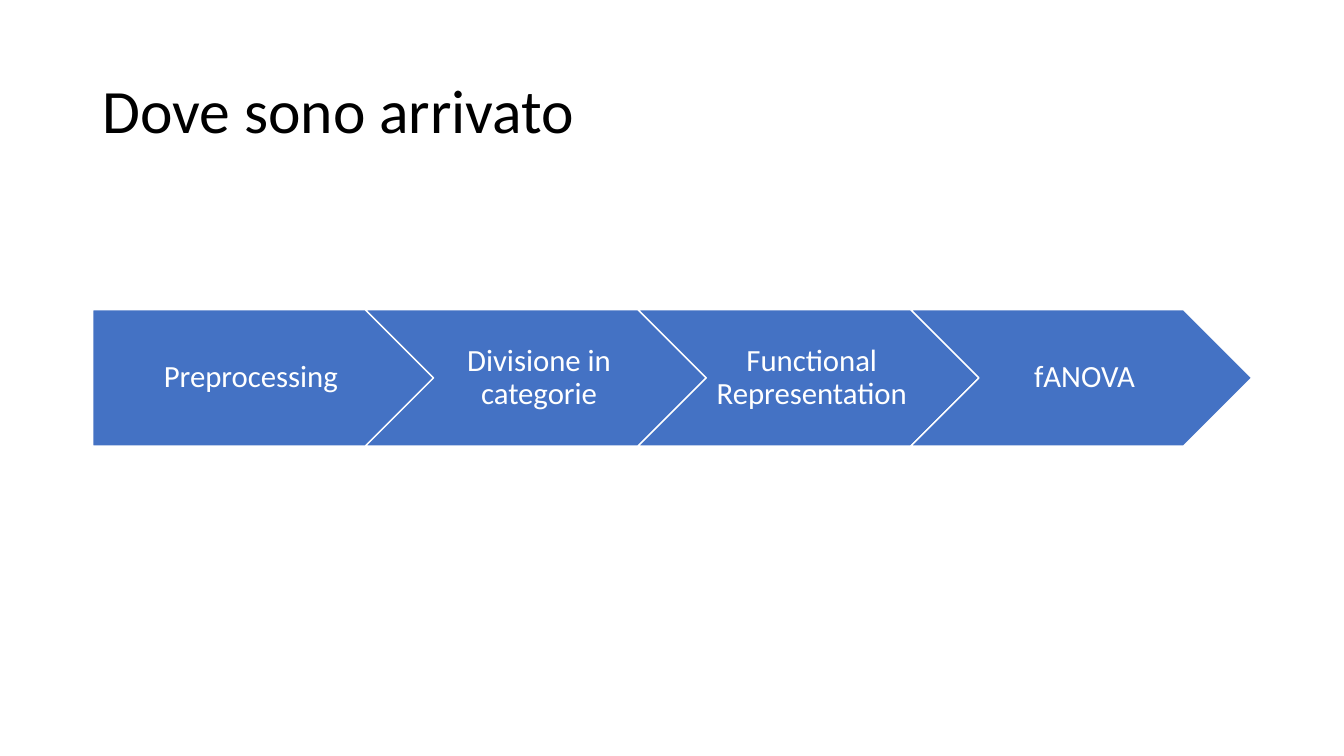
"""Build the slide showing the four analysis steps as a chevron process."""
from pptx import Presentation
from pptx.dml.color import RGBColor
from pptx.enum.shapes import MSO_SHAPE
from pptx.enum.text import MSO_ANCHOR, PP_ALIGN
from pptx.util import Pt

PENTAGON, CHEVRON = MSO_SHAPE.PENTAGON, MSO_SHAPE.CHEVRON
LEFT, CENTER = PP_ALIGN.LEFT, PP_ALIGN.CENTER
MIDDLE = MSO_ANCHOR.MIDDLE

COLORS = {"step": "4472C4", "light": "FFFFFF", "title": "000000"}
FONT = "Calibri"
STEPS = ["Preprocessing", "Divisione in categorie",
         "Functional Representation", "fANOVA"]
STEP_LEFT, STEP_WIDTH = 66.2, 243.5
STEP_HEIGHT = STEP_WIDTH * 0.4
STEP_PITCH = STEP_WIDTH * 0.8


def color(name):
    return RGBColor.from_string(COLORS[name])


def write_text(box, text, size, color_name, align, insets):
    frame = box.text_frame
    left, top, right, bottom = map(Pt, insets)
    frame_format = {"word_wrap": True, "vertical_anchor": MIDDLE,
                    "margin_left": left, "margin_top": top,
                    "margin_right": right, "margin_bottom": bottom}
    for name, value in frame_format.items():
        setattr(frame, name, value)
    para = frame.paragraphs[0]
    para.alignment = align
    para.line_spacing = 0.9
    span = para.add_run()
    span.text = text
    for name, value in {"name": FONT, "size": Pt(size)}.items():
        setattr(span.font, name, value)
    span.font.color.rgb = color(color_name)


def add_title(page, text):
    box = page.shapes.add_textbox(Pt(66), Pt(28.75), Pt(828), Pt(104.4))
    write_text(box, text, 44, "title", LEFT, (7.2, 3.6, 7.2, 3.6))


def add_step(page, index, text, top):
    kind, inset = (CHEVRON, 6.93) if index else (PENTAGON, 9.24)
    step = page.shapes.add_shape(
        kind, Pt(STEP_LEFT + index * STEP_PITCH), Pt(top),
        Pt(STEP_WIDTH), Pt(STEP_HEIGHT))
    step.shadow.inherit = False
    step.fill.solid()
    step.fill.fore_color.rgb = color("step")
    step.line.color.rgb = color("light")
    step.line.width = Pt(1)
    write_text(step, text, 22, "light", CENTER, (inset, 4.62, 2.31, 4.62))


def main():
    deck = Presentation()
    deck.slide_width, deck.slide_height = Pt(960), Pt(540)
    page = deck.slides.add_slide(deck.slide_layouts[6])
    add_title(page, "Dove sono arrivato")
    for index, text in enumerate(STEPS):
        add_step(page, index, text, 270 - STEP_HEIGHT / 2)
    deck.save("out.pptx")


if __name__ == "__main__":
    main()
